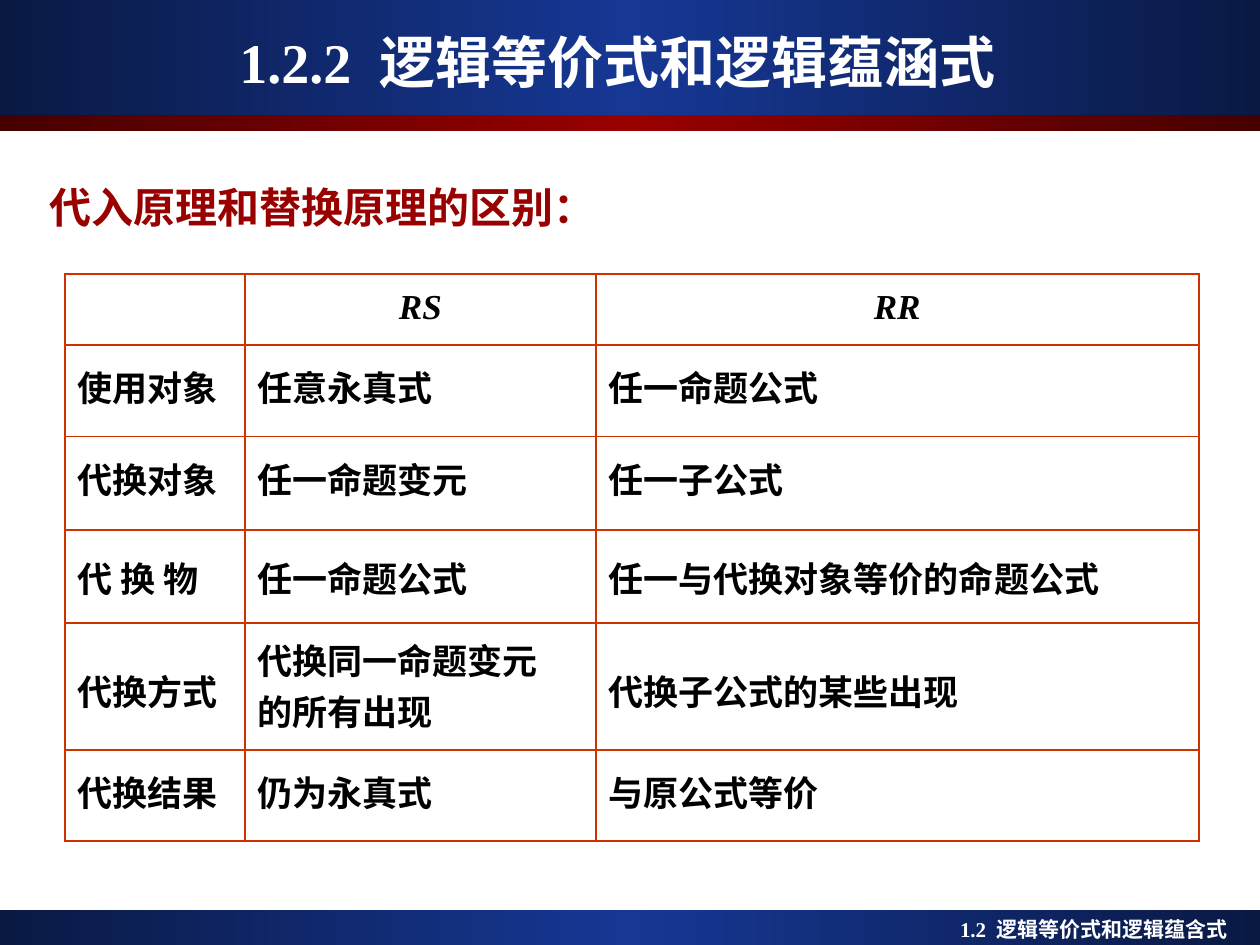
import copy
import pptx
import pptx.util
import pptx.dml.color
import pptx.enum.shapes
import pptx.enum.text
import pptx.oxml
import pptx.oxml.ns

Pt = pptx.util.Pt
ALIGN = pptx.enum.text.PP_ALIGN
ANCHOR = pptx.enum.text.MSO_ANCHOR

# Content
FONT = "Times New Roman"
BLUE = ("0A1944", "163794")
RED = ("460000", "990000")
BORDER = "CC3300"
BANDS = [  # top, height, (edge colour, middle colour)
    (520, 20, BLUE),
    (0, 65.5, BLUE),
    (65.5, 9.5, RED),
]
TITLE = ("1.2.2", "逻辑等价式和逻辑蕴涵式")
HEADING = "代入原理和替换原理的区别："
FOOTER = ("1.2", "逻辑等价式和逻辑蕴含式")
COLUMNS = [103, 200.5, 344.5]
ROWS = [  # height, line spacing, cell texts
    (40.5, 1.2, ["", "RS", "RR"]),
    (52.5, 1.2, ["使用对象", "任意永真式", "任一命题公式"]),
    (53.5, 1.2, ["代换对象", "任一命题变元", "任一子公式"]),
    (53, 1.3, ["代 换 物", "任一命题公式", "任一与代换对象等价的命题公式"]),
    (72.5, 1.7, ["代换方式", "代换同一命题变元\n的所有出现", "代换子公式的某些出现"]),
    (52, 1.2, ["代换结果", "仍为永真式", "与原公式等价"]),
]
TWO_LINE_SPACING = [1.1, 1.0]


def color(value):
    return pptx.dml.color.RGBColor.from_string(value)


def apply(target, values):
    for name, value in values.items():
        setattr(target, name, value)


def add_span(para, text, size, shade, italic=False):
    span = para.add_run()
    span.text = text
    apply(span.font, {"name": FONT, "size": Pt(size), "bold": True, "italic": italic})
    span.font.color.rgb = color(shade)
    return span


def add_numbered(para, number, text, size, shade):
    """Section number and name, parted by one widened space."""
    add_span(para, number, size, shade)
    gap = add_span(para, " ", size, shade)
    gap._r.get_or_add_rPr().set("spc", str(size * 25))
    add_span(para, text, size, shade)


def add_box(page, left, top, width, height, **frame_format):
    box = page.shapes.add_textbox(Pt(left), Pt(top), Pt(width), Pt(height))
    apply(box.text_frame, frame_format)
    return box.text_frame.paragraphs[0]


def add_band(page, top, height, edge, middle):
    band = page.shapes.add_shape(
        pptx.enum.shapes.MSO_SHAPE.RECTANGLE, 0, Pt(top), Pt(720), Pt(height))
    band.shadow.inherit = False
    band.line.fill.background()
    band.fill.gradient()
    band.fill.gradient_angle = 0
    first, second = band.fill.gradient_stops
    first.color.rgb, first.position = color(edge), 0
    second.color.rgb, second.position = color(middle), 0.5
    last = copy.deepcopy(first._gs)
    last.set("pos", "100000")
    second._gs.addnext(last)


def set_borders(cell, outer_sides):
    properties = cell._tc.get_or_add_tcPr()
    for index, side in enumerate("LRTB"):
        width = Pt(1.47 if side in outer_sides else 1.08)
        properties.insert(index, pptx.oxml.parse_xml(
            f'<a:ln{side} {pptx.oxml.ns.nsdecls("a")} w="{width}"><a:solidFill>'
            f'<a:srgbClr val="{BORDER}"/></a:solidFill></a:ln{side}>'))


def fill_cell(cell, text, spacings, header):
    cell.fill.background()
    frame = cell.text_frame
    for index, line in enumerate(text.split("\n") if text else []):
        para = frame.add_paragraph() if index else frame.paragraphs[0]
        properties = para._p.get_or_add_pPr()
        properties.set("marL", str(Pt(27)))
        properties.set("indent", str(-Pt(27)))
        apply(para, {"line_spacing": spacings[index],
                     "alignment": ALIGN.CENTER if header else ALIGN.LEFT})
        add_span(para, line, 20, "000000", italic=header)


def add_comparison(page):
    heights = [row[0] for row in ROWS]
    frame = page.shapes.add_table(len(ROWS), len(COLUMNS), Pt(37), Pt(156.5),
                                  Pt(sum(COLUMNS)), Pt(sum(heights)))
    table = frame.table
    apply(table, {"first_row": False, "horz_banding": False})
    for column, width in zip(table.columns, COLUMNS):
        column.width = Pt(width)
    last_row, last_column = len(ROWS) - 1, len(COLUMNS) - 1
    for r, (height, spacing, texts) in enumerate(ROWS):
        table.rows[r].height = Pt(height)
        for c, text in enumerate(texts):
            cell = table.cell(r, c)
            spacings = TWO_LINE_SPACING if "\n" in text else [spacing]
            fill_cell(cell, text, spacings, header=r == 0)
            edges = {"L": c == 0, "R": c == last_column, "T": r == 0, "B": r == last_row}
            set_borders(cell, [side for side, outer in edges.items() if outer])


def main():
    deck = pptx.Presentation()
    apply(deck, {"slide_width": Pt(720), "slide_height": Pt(540)})
    page = deck.slides.add_slide(deck.slide_layouts[6])

    # Bands at top and bottom
    for top, height, shades in BANDS:
        add_band(page, top, height, *shades)

    # Comparison table and its heading
    add_comparison(page)
    heading = add_box(page, 21, 100, 326, 36, word_wrap=False)
    add_span(heading, HEADING, 24, "990000")

    # Title
    title = add_box(page, 20, 12.5, 666, 44.5, word_wrap=True,
                    vertical_anchor=ANCHOR.MIDDLE)
    title.alignment = ALIGN.CENTER
    add_numbered(title, *TITLE, 32, "FFFFFF")

    # Footer
    footer = add_box(page, 541.5, 520, 178.5, 21.5, word_wrap=True)
    add_numbered(footer, *FOOTER, 12, "FFFFFF")

    deck.save("out.pptx")


if __name__ == "__main__":
    main()
